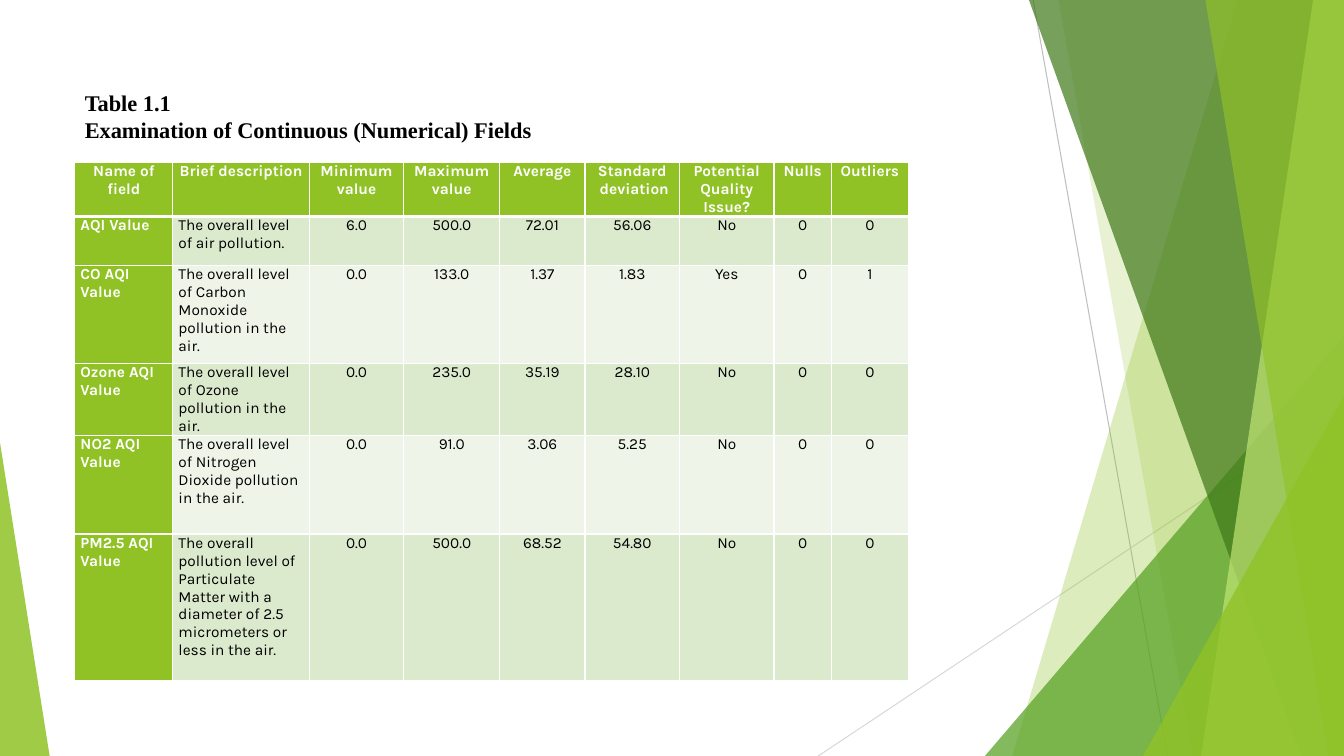
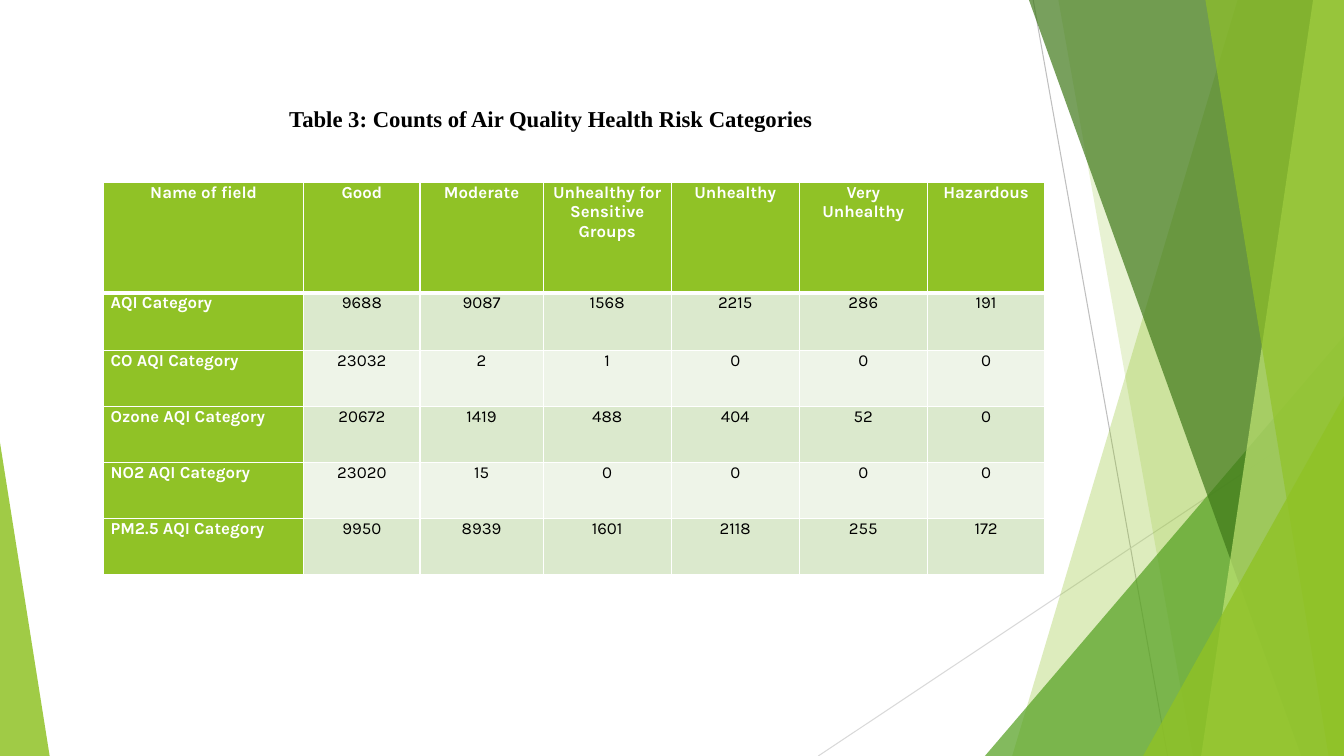
from lxml import etree
from pptx import Presentation
from pptx import util as u
from pptx.dml.color import RGBColor
from pptx.enum import shapes, text
from pptx.oxml import ns

COLORS = {
    "white": "FFFFFF", "black": "000000", "lime": "90C226",
    "green": "54A021", "forest": "3F7819", "pale_lime": "C0E474",
    "gray": "BFBFBF", "light_gray": "D9D9D9",
    "band_odd": "DBE9CD", "band_even": "EEF4E8",
}
WIDTH, HEIGHT = 960, 540
TITLE_FONT, TABLE_FONT = "Times New Roman", "Karla"
LEFT, CENTER = text.PP_ALIGN.LEFT, text.PP_ALIGN.CENTER

FIELDS_TABLE = [
    ["Name of field", "Brief description", "Minimum value", "Maximum value", "Average",
     "Standard\n deviation", "Potential Quality\nIssue?", "Nulls", "Outliers"],
    ["AQI Value", "The overall level of air pollution.",
     "6.0", "500.0", "72.01", "56.06", "No", "0", "0"],
    ["CO AQI Value", "The overall level of Carbon Monoxide pollution in the air.",
     "0.0", "133.0", "1.37", "1.83", "Yes", "0", "1"],
    ["Ozone AQI Value", "The overall level of Ozone pollution in the air.",
     "0.0", "235.0", "35.19", "28.10", "No", "0", "0"],
    ["NO2 AQI Value", "The overall level of Nitrogen Dioxide pollution in the air.",
     "0.0", "91.0", "3.06", "5.25", "No", "0", "0"],
    ["PM2.5 AQI Value",
     "The overall pollution level of Particulate Matter with a diameter of "
     "2.5 micrometers or less in the air.",
     "0.0", "500.0", "68.52", "54.80", "No", "0", "0"],
]
CATEGORY_TABLE = [
    ["Name of field", "Good", "Moderate", "Unhealthy for Sensitive Groups",
     "Unhealthy", "Very Unhealthy", "Hazardous"],
    ["AQI Category", "9688", "9087", "1568", "2215", "286", "191"],
    ["CO AQI Category", "23032", "2", "1", "0", "0", "0"],
    ["Ozone AQI Category", "20672", "1419", "488", "404", "52", "0"],
    ["NO2 AQI Category", "23020", "15", "0", "0", "0", "0"],
    ["PM2.5 AQI Category", "9950", "8939", "1601", "2118", "255", "172"],
]


def rgb(color):
    return RGBColor.from_string(COLORS[color])


def paint(shape, color, opacity):
    shape.shadow.inherit = False
    shape.line.fill.background()
    shape.fill.solid()
    shape.fill.fore_color.rgb = rgb(color)
    color_node = shape._element.spPr.find(".//" + ns.qn("a:srgbClr"))
    etree.SubElement(color_node, ns.qn("a:alpha"), val=str(opacity * 1000))


def add_line(slide, start, end, color):
    points = [u.Pt(value) for value in (*start, *end)]
    line = slide.shapes.add_connector(shapes.MSO_CONNECTOR.STRAIGHT, *points)
    line.line.color.rgb = rgb(color)
    line.line.width = u.Pt(0.75)
    etree.SubElement(line._element.spPr, ns.qn("a:effectLst"))


def add_facet(slide, top_x, bottom_x, color, opacity):
    corners = [(top_x, 0), (WIDTH, 0), (WIDTH, HEIGHT), (bottom_x, HEIGHT)]
    points = [(u.Pt(x), u.Pt(y)) for x, y in corners]
    builder = slide.shapes.build_freeform(*points[0])
    builder.add_line_segments(points[1:], close=True)
    paint(builder.convert_to_shape(), color, opacity)


def add_triangle(slide, left, top, width, apex, color, opacity):
    shape = slide.shapes.add_shape(
        shapes.MSO_SHAPE.ISOSCELES_TRIANGLE,
        u.Pt(left), u.Pt(top), u.Pt(width), u.Pt(HEIGHT - top))
    shape.adjustments[0] = apex
    paint(shape, color, opacity)


def add_decoration(slide):
    add_line(slide, (738, 0), (834, HEIGHT), "gray")
    add_line(slide, (WIDTH, 290), (584.5, HEIGHT), "light_gray")
    add_facet(slide, 884, 723, "lime", 30)
    add_facet(slide, 756, 852, "lime", 20)
    add_triangle(slide, 703.5, 240, 256.5, 1, "green", 72)
    add_facet(slide, 735, 929.5, "forest", 70)
    add_facet(slide, 938, 858, "pale_lime", 70)
    add_facet(slide, 861, 949, "lime", 65)
    add_triangle(slide, 816.5, 283, 143.5, 1, "lime", 80)
    add_triangle(slide, 0, 316, 35.5, 0, "lime", 85)


def write_text(frame, content, font, size, color, bold, align=LEFT):
    frame.word_wrap = True
    for index, line in enumerate(content.split("\n")):
        paragraph = frame.paragraphs[0] if index == 0 else frame.add_paragraph()
        paragraph.alignment = align
        run = paragraph.add_run()
        run.text = line
        run.font.name = font
        run.font.size = u.Pt(size)
        run.font.bold = bold
        run.font.color.rgb = rgb(color)


def add_title(slide, left, top, width, height, content, size):
    box = slide.shapes.add_textbox(u.Pt(left), u.Pt(top), u.Pt(width), u.Pt(height))
    write_text(box.text_frame, content, TITLE_FONT, size, "black", True)


def set_borders(cell, top, bottom):
    properties = cell._tc.get_or_add_tcPr()
    for side, width in (("L", 1), ("R", 1), ("T", top), ("B", bottom)):
        border = etree.SubElement(properties, ns.qn("a:ln" + side), w=str(u.Pt(width)))
        fill = etree.SubElement(border, ns.qn("a:solidFill"))
        etree.SubElement(fill, ns.qn("a:srgbClr"), val=COLORS["white"])


def style_cell(cell, row, is_heading, inset):
    cell.margin_left = cell.margin_right = u.Pt(inset)
    cell.margin_top = cell.margin_bottom = 0
    set_borders(cell, 3 if row == 1 else 1, 3 if row == 0 else 1)
    cell.fill.solid()
    band = "band_odd" if row % 2 else "band_even"
    cell.fill.fore_color.rgb = rgb("lime" if is_heading else band)


def add_data_table(slide, left, top, widths, heights, rows, size, inset, left_columns):
    frame = slide.shapes.add_table(
        len(heights), len(widths),
        u.Pt(left), u.Pt(top), u.Pt(sum(widths)), u.Pt(sum(heights)))
    table = frame.table
    table.horz_banding = False
    for column, width in zip(table.columns, widths):
        column.width = u.Pt(width)
    for row, height in zip(table.rows, heights):
        row.height = u.Pt(height)
    for row, values in enumerate(rows):
        for column, value in enumerate(values):
            cell = table.cell(row, column)
            is_heading = row == 0 or column == 0
            style_cell(cell, row, is_heading, inset)
            align = LEFT if row and column < left_columns else CENTER
            write_text(cell.text_frame, value, TABLE_FONT, size,
                       "white" if is_heading else "black", is_heading, align)


def add_slide(presentation):
    slide = presentation.slides.add_slide(presentation.slide_layouts[6])
    add_decoration(slide)
    return slide


def main():
    presentation = Presentation()
    presentation.slide_width = u.Pt(WIDTH)
    presentation.slide_height = u.Pt(HEIGHT)

    slide = add_slide(presentation)
    add_data_table(slide, 53.5, 116, [70, 97.5, 67.5, 68.5, 61, 67.5, 67.5, 41, 55],
                   [35.5, 35, 70, 47.5, 70.5, 105], FIELDS_TABLE, 11, 4, 2)
    add_title(slide, 53.5, 60, 410, 67.5,
              "Table 1.1\nExamination of Continuous (Numerical) Fields", 16)

    slide = add_slide(presentation)
    add_title(slide, 199.5, 71, 677, 36,
              "Table 3: Counts of Air Quality Health Risk Categories", 16.2)
    add_data_table(slide, 74, 130.5, [143, 83, 88] + [91.5] * 3 + [84],
                   [79, 41] + [40] * 4, CATEGORY_TABLE, 12, 5, 1)

    presentation.save("out.pptx")


if __name__ == "__main__":
    main()
